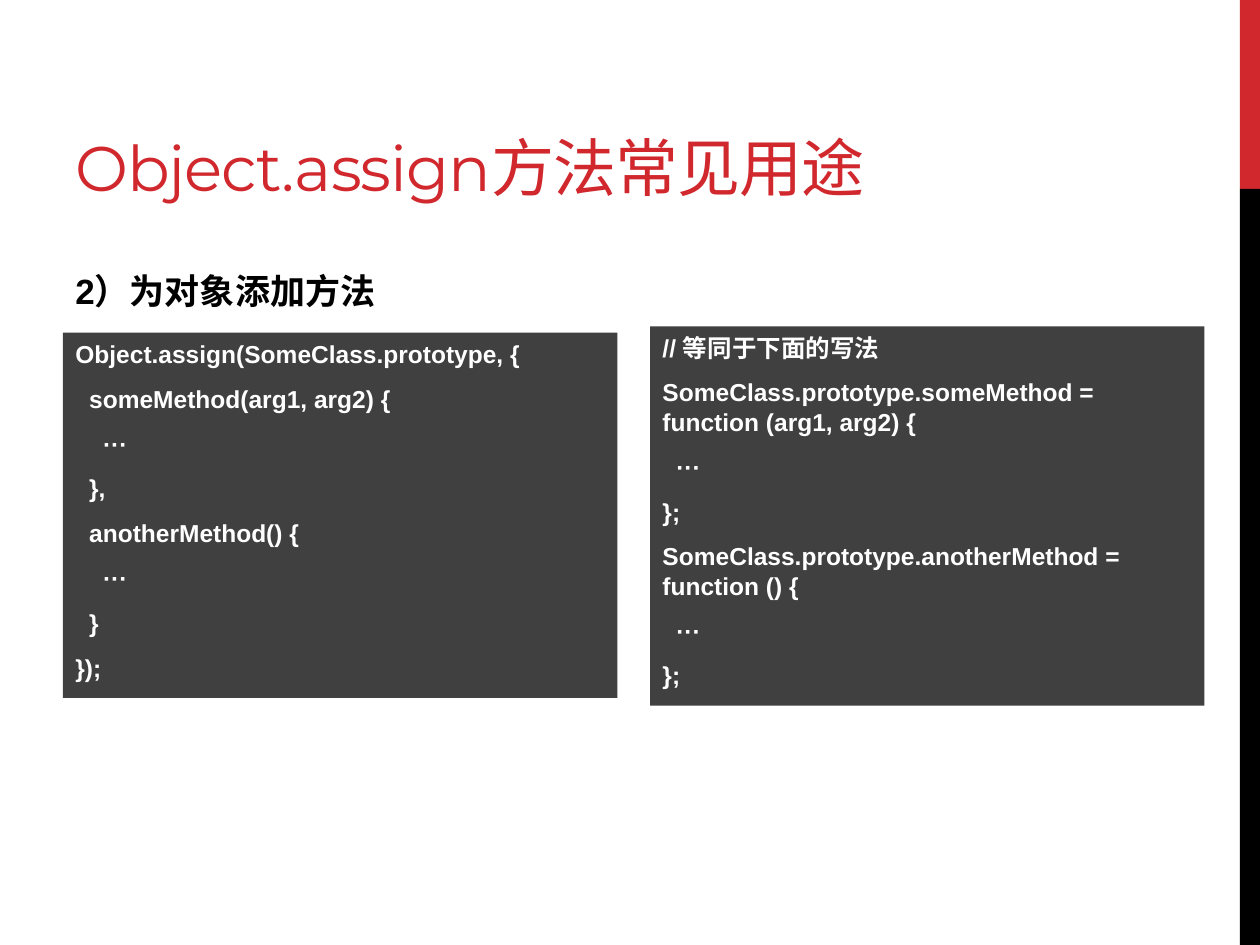
"""Build a slide on adding methods to a class with Object.assign."""
import pptx
import pptx.dml.color
import pptx.enum.shapes
import pptx.enum.text
import pptx.util
from pptx.util import Inches

TITLE = "Object.assign方法常见用途"
HEADING = "2）为对象添加方法"
CODE_PANELS = [
    ((0.5, 2.64, 4.4, 2.9), [
        (0, "Object.assign(SomeClass.prototype, {"),
        (1, "someMethod(arg1, arg2) {"),
        (2, "···"),
        (1, "},"),
        (1, "anotherMethod() {"),
        (2, "···"),
        (1, "}"),
        (0, "});"),
    ]),
    ((5.16, 2.59, 4.4, 3.01), [
        (0, "// 等同于下面的写法"),
        (0, "SomeClass.prototype.someMethod = function (arg1, arg2) {"),
        (1, "···"),
        (0, "};"),
        (0, "SomeClass.prototype.anotherMethod = function () {"),
        (1, "···"),
        (0, "};"),
    ]),
]
THEME = {
    "red": "D1282E", "black": "000000", "panel": "404040", "white": "FFFFFF",
    "title_font": "Montserrat", "body_font": "Arial",
    "title_size": 36, "heading_size": 20, "code_size": 14,
}
SIDE_BARS = [("red", 0, 1.5), ("black", 1.5, 6)]
INDENT = 0.11


def color(name):
    return pptx.dml.color.RGBColor.from_string(THEME[name])


def add_rectangle(slide, box, fill):
    shape = slide.shapes.add_shape(
        pptx.enum.shapes.MSO_SHAPE.RECTANGLE, *map(Inches, box))
    shape.shadow.inherit = False
    shape.fill.solid()
    shape.fill.fore_color.rgb = color(fill)
    shape.line.fill.background()
    return shape


def add_text_box(slide, box):
    shape = slide.shapes.add_textbox(*map(Inches, box))
    shape.text_frame.word_wrap = True
    return shape


def add_run(paragraph, text, font, size, ink, bold=False):
    paragraph.alignment = pptx.enum.text.PP_ALIGN.LEFT
    run = paragraph.add_run()
    run.text = text
    run.font.name = THEME[font]
    run.font.size = pptx.util.Pt(THEME[size])
    run.font.bold = bold
    run.font.color.rgb = color(ink)
    return run


def space_paragraph(paragraph, size):
    paragraph.space_before = pptx.util.Pt(THEME[size] * 0.2)
    paragraph.space_after = pptx.util.Pt(6)


def add_code_panel(slide, box, lines):
    frame = add_rectangle(slide, box, "panel").text_frame
    frame.word_wrap = True
    frame.auto_size = pptx.enum.text.MSO_AUTO_SIZE.SHAPE_TO_FIT_TEXT
    frame.vertical_anchor = pptx.enum.text.MSO_ANCHOR.TOP
    for index, (level, text) in enumerate(lines):
        paragraph = frame.add_paragraph() if index else frame.paragraphs[0]
        space_paragraph(paragraph, "code_size")
        if level:
            paragraph._p.get_or_add_pPr().set("marL", str(Inches(INDENT * level)))
        add_run(paragraph, text, "body_font", "code_size", "white", bold=True)


def main():
    presentation = pptx.Presentation()
    presentation.slide_width = Inches(10)
    presentation.slide_height = Inches(7.5)
    slide = presentation.slides.add_slide(presentation.slide_layouts[6])

    for fill, top, height in SIDE_BARS:
        add_rectangle(slide, (9.84, top, 0.16, height), fill)

    title = add_text_box(slide, (0.5, 0.17, 7.1, 1.5)).text_frame
    title.vertical_anchor = pptx.enum.text.MSO_ANCHOR.BOTTOM
    run = add_run(title.paragraphs[0], TITLE, "title_font", "title_size", "red")
    run.font._element.set("spc", "-60")

    heading = add_text_box(slide, (0.5, 1.92, 8.33, 4.78)).text_frame.paragraphs[0]
    heading.line_spacing = 1.5
    space_paragraph(heading, "heading_size")
    add_run(heading, HEADING, "body_font", "heading_size", "black", bold=True)

    for box, lines in CODE_PANELS:
        add_code_panel(slide, box, lines)

    presentation.save("out.pptx")


if __name__ == "__main__":
    main()
